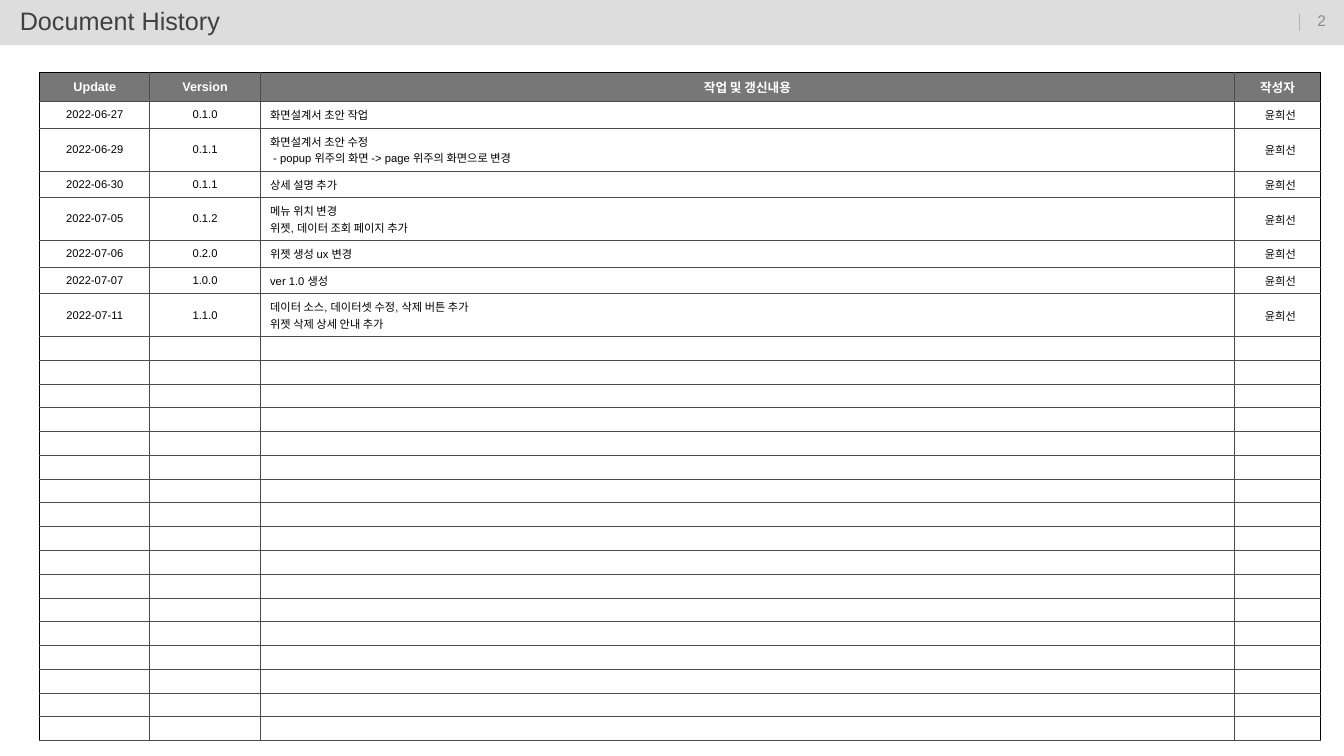
"""Build the document history slide with its revision table."""
from lxml.etree import SubElement as Sub
from pptx import Presentation
from pptx.dml.color import RGBColor as Rgb
from pptx.enum.shapes import MSO_CONNECTOR as Link, MSO_SHAPE as Shape
from pptx.enum.text import MSO_ANCHOR as Anchor, PP_ALIGN as Align
from pptx.oxml.ns import qn
from pptx.util import Cm, Pt

HUES = {"bar": "DDDDDD", "rule": "B2B2B2", "page": "8C8C8C", "title": "404040",
        "head": "777777", "white": "FFFFFF", "ink": "000000", "grid": "4C4C4C"}
WIDE, TALL, BAR = 33.87, 19.05, 1.14
HEAD = ["Update", "Version", "작업 및 갱신내용", "작성자"]
LOG = [
    ("2022-06-27", "0.1.0", ["화면설계서 초안 작업"]),
    ("2022-06-29", "0.1.1", ["화면설계서 초안 수정",
                             " - popup 위주의 화면 -> page 위주의 화면으로 변경"]),
    ("2022-06-30", "0.1.1", ["상세 설명 추가"]),
    ("2022-07-05", "0.1.2", ["메뉴 위치 변경", "위젯, 데이터 조회 페이지 추가"]),
    ("2022-07-06", "0.2.0", ["위젯 생성 ux 변경"]),
    ("2022-07-07", "1.0.0", ["ver 1.0 생성"]),
    ("2022-07-11", "1.1.0", ["데이터 소스, 데이터셋 수정, 삭제 버튼 추가",
                             "위젯 삭제 상세 안내 추가"]),
]
AUTHOR = "윤희선"
SPARE = 17
COLS = [2.78, 2.78, 24.55, 2.17]
HIGH = {"head": 0.73, 1: 0.67, 2: 1.08, "spare": 0.58}


class Deck:
    """Hold the style and the current slide."""

    def __init__(self, font="Arial"):
        self.font = font
        self.show = Presentation()
        self.show.slide_width, self.show.slide_height = Cm(WIDE), Cm(TALL)
        self.slide = self.show.slides.add_slide(self.show.slide_layouts[6])

    def hue(self, name):
        return Rgb.from_string(HUES[name])

    def runs(self, frame, lines, size, hue, align=Align.CENTER, bold=False):
        for i, line in enumerate(lines):
            para = frame.paragraphs[0] if i == 0 else frame.add_paragraph()
            para.alignment = align
            run = para.add_run()
            run.text = line
            font = run.font
            font.name, font.size, font.bold = self.font, Pt(size), bold
            font.color.rgb = self.hue(hue)

    def rect(self, x, y, w, h, hue):
        box = self.slide.shapes.add_shape(Shape.RECTANGLE, Cm(x), Cm(y), Cm(w), Cm(h))
        box.shadow.inherit = False
        box.fill.solid()
        box.fill.fore_color.rgb = self.hue(hue)
        box.line.fill.background()

    def rule(self, x, top, end, hue):
        line = self.slide.shapes.add_connector(Link.STRAIGHT, Cm(x), Cm(top), Cm(x), Cm(end))
        line.line.width = Pt(0.75)
        line.line.color.rgb = self.hue(hue)
        Sub(line._element.spPr, qn("a:effectLst"))

    def text(self, x, y, w, h, line, size, hue, align=Align.CENTER, left=0.25):
        frame = self.slide.shapes.add_textbox(Cm(x), Cm(y), Cm(w), Cm(h)).text_frame
        frame.word_wrap = True
        frame.vertical_anchor = Anchor.MIDDLE
        frame.margin_left = Cm(left)
        self.runs(frame, [line], size, hue, align)
        return frame.paragraphs[0]

    def grid(self, x, y, cols, rows):
        table = self.slide.shapes.add_table(
            len(rows), len(cols), Cm(x), Cm(y), Cm(sum(cols)), Cm(sum(rows))).table
        table.first_row = table.horz_banding = False
        for col, wide in zip(table.columns, cols):
            col.width = Cm(wide)
        for row, high in zip(table.rows, rows):
            row.height = Cm(high)
        return table

    def edges(self, cell, **hues):
        props = cell._tc.get_or_add_tcPr()
        for side in "LRTB":
            line = Sub(props, qn("a:ln" + side), w=str(Pt(0.75)))
            fill = Sub(line, qn("a:solidFill"))
            Sub(fill, qn("a:srgbClr"), val=HUES[hues.get(side, "grid")])

    def cell(self, cell, lines, fill=None, pad=0.13, **style):
        cell.vertical_anchor = Anchor.MIDDLE
        cell.margin_left = cell.margin_right = Cm(0.25)
        cell.margin_top = cell.margin_bottom = Cm(pad)
        if fill:
            cell.fill.solid()
            cell.fill.fore_color.rgb = self.hue(fill)
        else:
            cell.fill.background()
        self.runs(cell.text_frame, lines, **style)
        if not lines:
            Sub(cell.text_frame.paragraphs[0]._p, qn("a:endParaRPr"), sz="800")


deck = Deck()
deck.rect(0, 0, WIDE, BAR, "bar")
deck.rule(32.75, 0.36, 0.78, "rule")
deck.text(32.75, 0, 1.12, 1.02, "2", 11, "page")
title = deck.text(0, 0, 30.5, BAR, "Document History", 18, "title", Align.LEFT, 0.5)
title.line_spacing, title.space_before = 0.9, Pt(10)

rows = [HIGH["head"]] + [HIGH[len(note)] for _, _, note in LOG] + [HIGH["spare"]] * SPARE
body = [[[day], [mark], note, [AUTHOR]] for day, mark, note in LOG] + [[[]] * 4] * SPARE
table = deck.grid(1, 1.83, COLS, rows)
last = len(COLS) - 1
for r, line in enumerate([[[name] for name in HEAD]] + body):
    for c, lines in enumerate(line):
        cell = table.cell(r, c)
        rim = {"L": c == 0, "R": c == last, "T": r == 0}
        deck.edges(cell, **{side: "ink" for side, on in rim.items() if on})
        pad = 0 if c == last and lines else 0.13
        if r == 0:
            deck.cell(cell, lines, "head", pad, size=9, hue="white", bold=True)
            continue
        align = Align.LEFT if c == 2 else Align.CENTER
        deck.cell(cell, lines, pad=pad, size=8, hue="ink", align=align)
        if c == last and lines:
            cell.margin_left = cell.margin_right = 0
            props = cell.text_frame.paragraphs[0]._p.get_or_add_pPr()
            props.set("marL", str(Cm(0.23)))
            props.set("indent", str(Cm(-0.08)))

deck.show.save("out.pptx")
